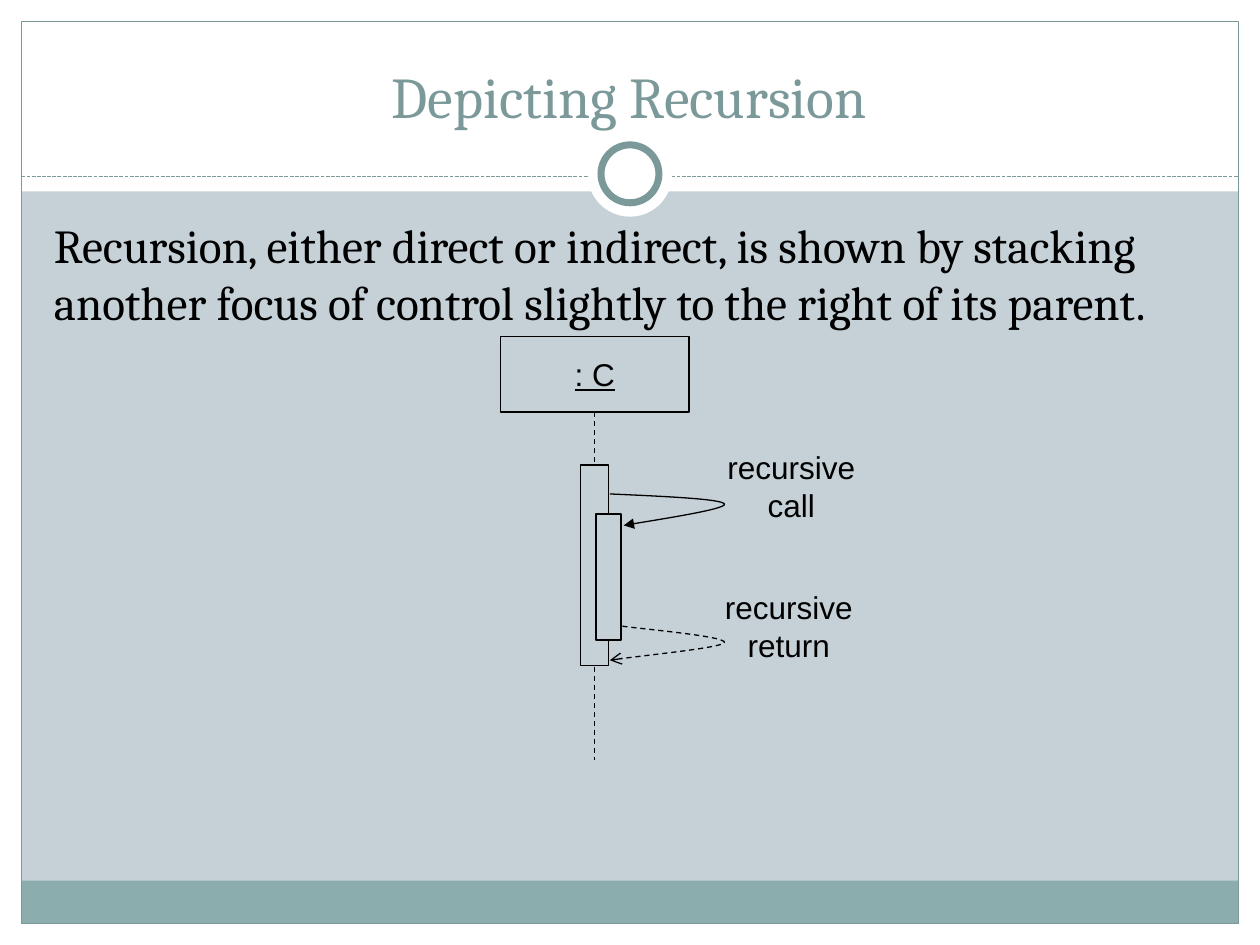
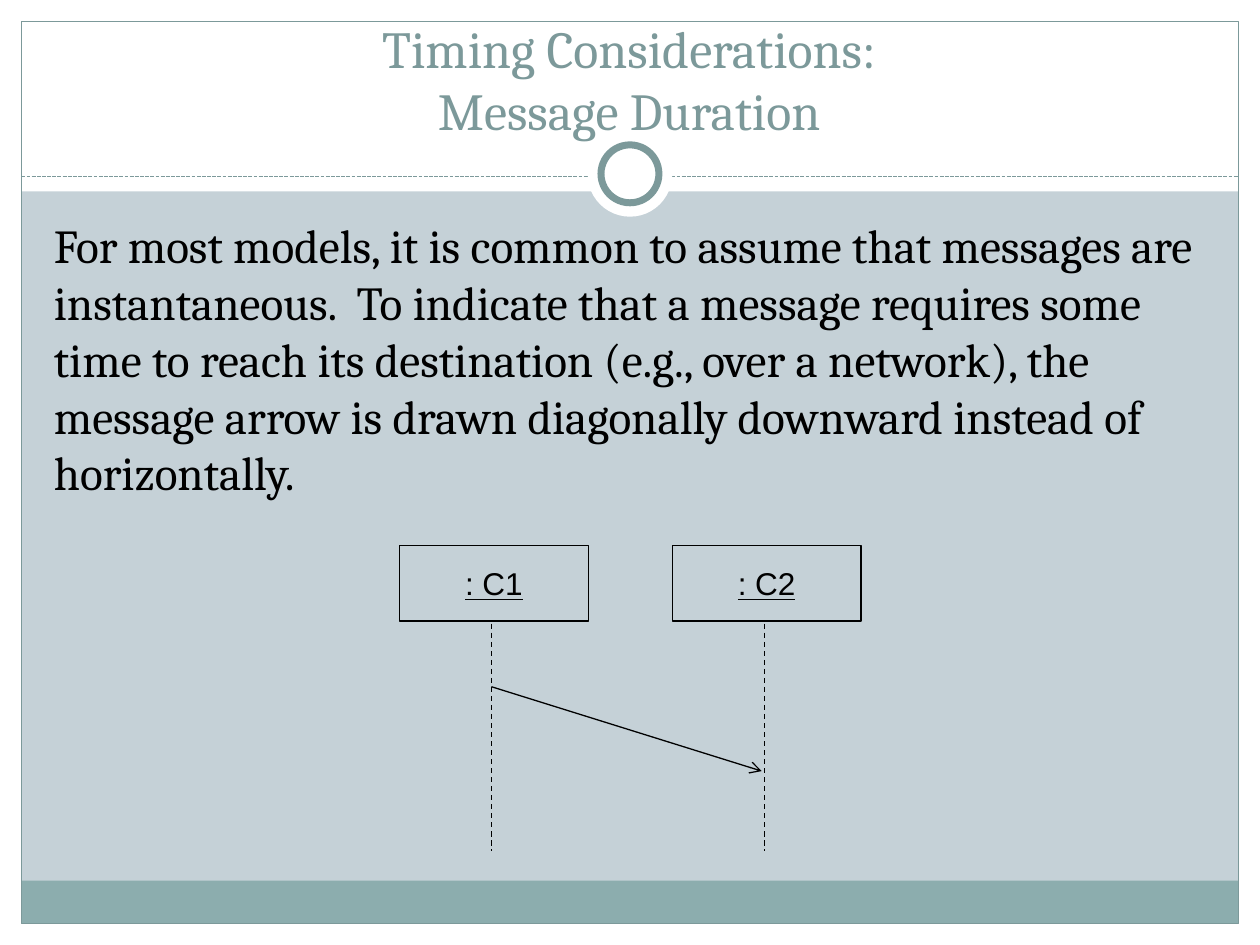
from dataclasses import dataclass
from itertools import pairwise
from typing import Optional

from lxml.etree import SubElement
from pptx import Presentation
from pptx.dml.color import RGBColor
from pptx.enum.dml import MSO_LINE
from pptx.enum.shapes import MSO_CONNECTOR, MSO_SHAPE
from pptx.enum.text import MSO_ANCHOR, PP_ALIGN
from pptx.oxml.ns import qn
from pptx.util import Inches, Pt

COLS, ROWS = 100, 75
CELL = Inches(10) / COLS
MARGIN, BAND_TOP, HEADER = 1.7, 69.9, 15.2
WHITE, BLACK = "FFFFFF", "000000"
ACCENT, FOOTER, BACKGROUND = "7C999A", "8CADAE", "C5D1D7"
SERIF, SANS = "Cambria", "Arial"

Point = tuple[float, float]


@dataclass
class Box:
    left: float
    top: float
    width: float
    height: float
    fill: Optional[str] = None
    line: Optional[str] = None
    weight: float = 0.75
    kind: MSO_SHAPE = MSO_SHAPE.RECTANGLE


@dataclass
class Participant:
    name: str
    left: float
    top: float
    axis: float
    lifelines: list[tuple[float, float]]


@dataclass
class Message:
    curve: list[Point]
    label: str
    label_left: float
    label_top: float
    head: str
    dash: Optional[MSO_LINE] = None


FRAME = [
    Box(0, ROWS - MARGIN, COLS, MARGIN, WHITE),
    Box(0, 0, COLS, HEADER, WHITE),
    Box(0, 0, MARGIN, ROWS, WHITE),
    Box(COLS - MARGIN, 0, MARGIN, ROWS, WHITE),
    Box(MARGIN, BAND_TOP, COLS - 2 * MARGIN, ROWS - MARGIN - BAND_TOP, FOOTER),
    Box(MARGIN, MARGIN, COLS - 2 * MARGIN, ROWS - 2 * MARGIN, None, ACCENT),
]
RING = [
    Box(46.65, 10.5, 6.7, 6.7, WHITE, kind=MSO_SHAPE.OVAL),
    Box(47.7, 11.5, 4.6, 4.6, WHITE, ACCENT, 4, MSO_SHAPE.OVAL),
]


def grid(cells: float) -> int:
    return round(cells * CELL)


def color(value: str) -> RGBColor:
    return RGBColor.from_string(value)


def style_line(line, value: Optional[str], weight: float = 0.75, dash=None, head: str = "") -> None:
    if value is None:
        line.fill.background()
        return
    line.color.rgb = color(value)
    line.width = Pt(weight)
    if dash:
        line.dash_style = dash
    if head:
        SubElement(line._get_or_add_ln(), qn("a:tailEnd"), type=head)


def add_box(s, box: Box):
    sp = s.shapes.add_shape(box.kind, *map(grid, (box.left, box.top, box.width, box.height)))
    sp.shadow.inherit = False
    if box.fill:
        sp.fill.solid()
        sp.fill.fore_color.rgb = color(box.fill)
    else:
        sp.fill.background()
    style_line(sp.line, box.line, box.weight)
    return sp


def add_line(s, start: Point, end: Point, value: str = BLACK, dash=None, head: str = "") -> None:
    cxn = s.shapes.add_connector(MSO_CONNECTOR.STRAIGHT, *map(grid, (*start, *end)))
    SubElement(cxn.element.spPr, qn("a:effectLst"))
    style_line(cxn.line, value, dash=dash, head=head)


def write(sp, text: str, *, size: float = 18, font: str = SANS, value: str = BLACK,
          align=PP_ALIGN.CENTER, anchor=MSO_ANCHOR.MIDDLE, underline: bool = False) -> None:
    tf = sp.text_frame
    tf.word_wrap = True
    tf.vertical_anchor = anchor
    p = tf.paragraphs[0]
    p.alignment = align
    for i, part in enumerate(text.split("\n")):
        if i:
            p.add_line_break()
        r = p.add_run()
        r.text = part
        r.font.size, r.font.name = Pt(size), font
        r.font.color.rgb = color(value)
        r.font.underline = underline


def add_text(s, box: Box, text: str, **fmt) -> None:
    sp = s.shapes.add_textbox(*map(grid, (box.left, box.top, box.width, box.height)))
    write(sp, text, **fmt)


def add_outline(s, points: list[Point], curved: bool = False, dash=None, head: str = "") -> None:
    (x, y), *rest = points
    builder = s.shapes.build_freeform(grid(x), grid(y))
    builder.add_line_segments([(grid(a), grid(b)) for a, b in rest], close=False)
    sp = builder.convert_to_shape()
    sp.shadow.inherit = False
    sp.fill.background()
    style_line(sp.line, BLACK, dash=dash, head=head)
    if curved:
        steps = list(sp.element.iter(qn("a:lnTo")))
        for i in range(0, len(steps), 3):
            bezier = SubElement(steps[i].getparent(), qn("a:cubicBezTo"))
            for step in steps[i:i + 3]:
                bezier.append(step[0])
                step.getparent().remove(step)


def add_participant(s, who: Participant) -> None:
    head = add_box(s, Box(who.left, who.top, 15, 6, None, BLACK))
    write(head, who.name, underline=True)
    for top, bottom in who.lifelines:
        add_line(s, (who.axis, top), (who.axis, bottom), dash=MSO_LINE.DASH)


def add_message(s, message: Message) -> None:
    add_outline(s, message.curve, True, message.dash, message.head)
    add_text(s, Box(message.label_left, message.label_top, 12.2, 7), message.label)


def add_slide(prs, title: str, title_top: float, title_size: float, body: str):
    s = prs.slides.add_slide(prs.slide_layouts[6])
    s.background.fill.solid()
    s.background.fill.fore_color.rgb = color(BACKGROUND)
    for box in FRAME:
        add_box(s, box)
    add_line(s, (MARGIN, 14), (COLS - MARGIN, 14), ACCENT, MSO_LINE.SQUARE_DOT)
    for box in RING:
        add_box(s, box)
    add_text(s, Box(3.3, title_top, 93.3, 8.3), title, size=title_size, font=SERIF,
             value=ACCENT, anchor=MSO_ANCHOR.BOTTOM)
    add_text(s, Box(3.3, 16.7, 93, 50), body, size=27, font=SERIF,
             align=PP_ALIGN.LEFT, anchor=MSO_ANCHOR.TOP)
    return s


def recursion_slide(prs) -> None:
    s = add_slide(prs, "Depicting Recursion", 2.5, 33,
                  "Recursion, either direct or indirect, is shown by stacking another "
                  "focus of control slightly to the right of its parent.")
    add_participant(s, Participant(": C", 39.7, 26.7, 47.2, [(32.7, 36.9), (52.9, 60.3)]))
    messages = [
        Message([(48.4, 39.2), (52.8, 39.4), (57.3, 39.6), (57.5, 40),
                 (57.7, 40.4), (51.2, 41.4), (49.5, 41.7)],
                "recursive call", 56.7, 35.1, "triangle"),
        Message([(49.4, 49.7), (50.7, 49.9), (57.7, 50.5), (57.5, 51),
                 (57.3, 51.4), (50.3, 52.1), (48.4, 52.4)],
                "recursive return", 56.5, 46.2, "arrow", MSO_LINE.DASH),
    ]
    for message in messages:
        add_message(s, message)
    add_box(s, Box(47.3, 40.8, 2, 10, None, BLACK))
    parent_focus = [(48.3, 50.8), (48.3, 52.8), (46.1, 52.8),
                    (46.1, 36.9), (48.3, 36.9), (48.3, 40.8)]
    add_outline(s, parent_focus)


def duration_slide(prs) -> None:
    s = add_slide(prs, "Timing Considerations:\nMessage Duration", 3.4, 29.7,
                  "For most models, it is common to assume that messages are instantaneous.  "
                  "To indicate that a message requires some time to reach its destination "
                  "(e.g., over a network), the message arrow is drawn diagonally downward "
                  "instead of horizontally.")
    pair = [Participant(f": C{i + 1}", 31.7 + 21.65 * i, 43.3, 39 + 21.65 * i, [(49.5, 67.5)])
            for i in range(2)]
    for who in pair:
        add_participant(s, who)
    for sender, receiver in pairwise(pair):
        add_line(s, (sender.axis, 54.5), (receiver.axis - 0.2, 61.2), head="arrow")


def main() -> None:
    prs = Presentation()
    prs.slide_width, prs.slide_height = grid(COLS), grid(ROWS)
    recursion_slide(prs)
    duration_slide(prs)
    prs.save("out.pptx")


if __name__ == "__main__":
    main()
